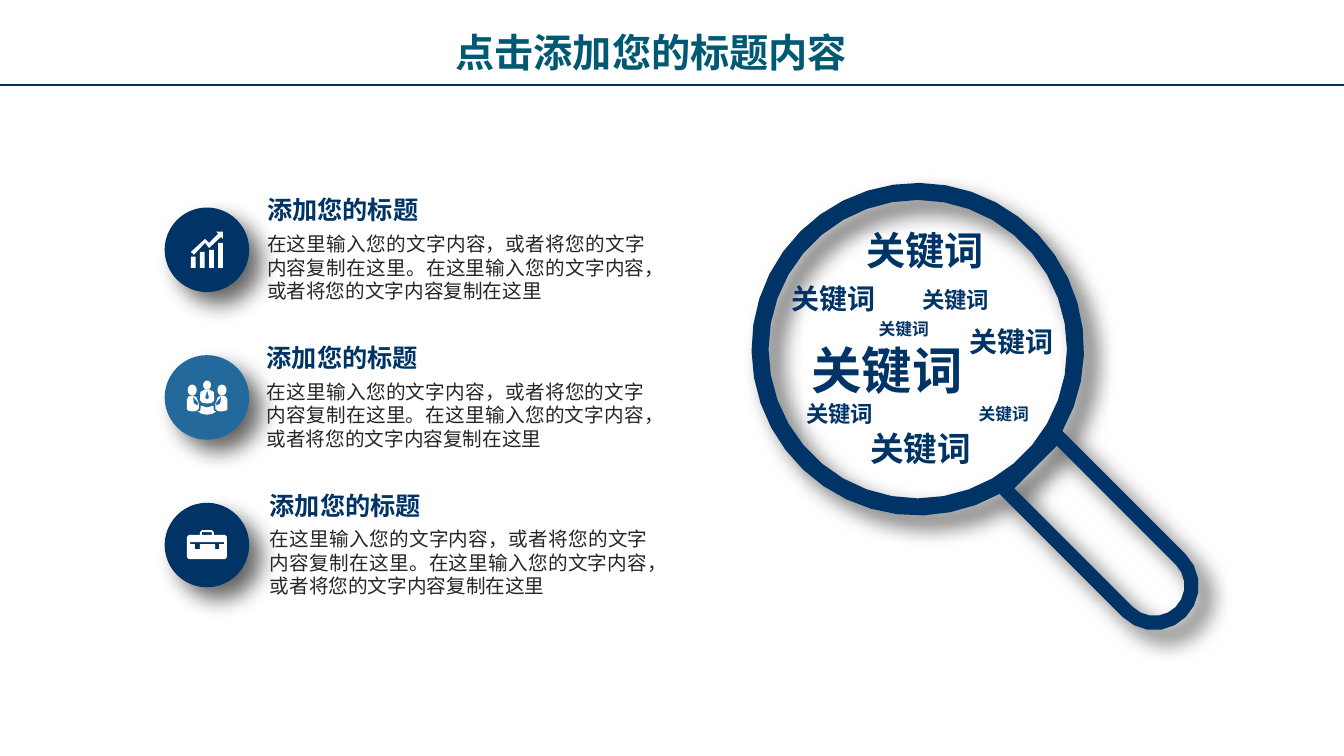
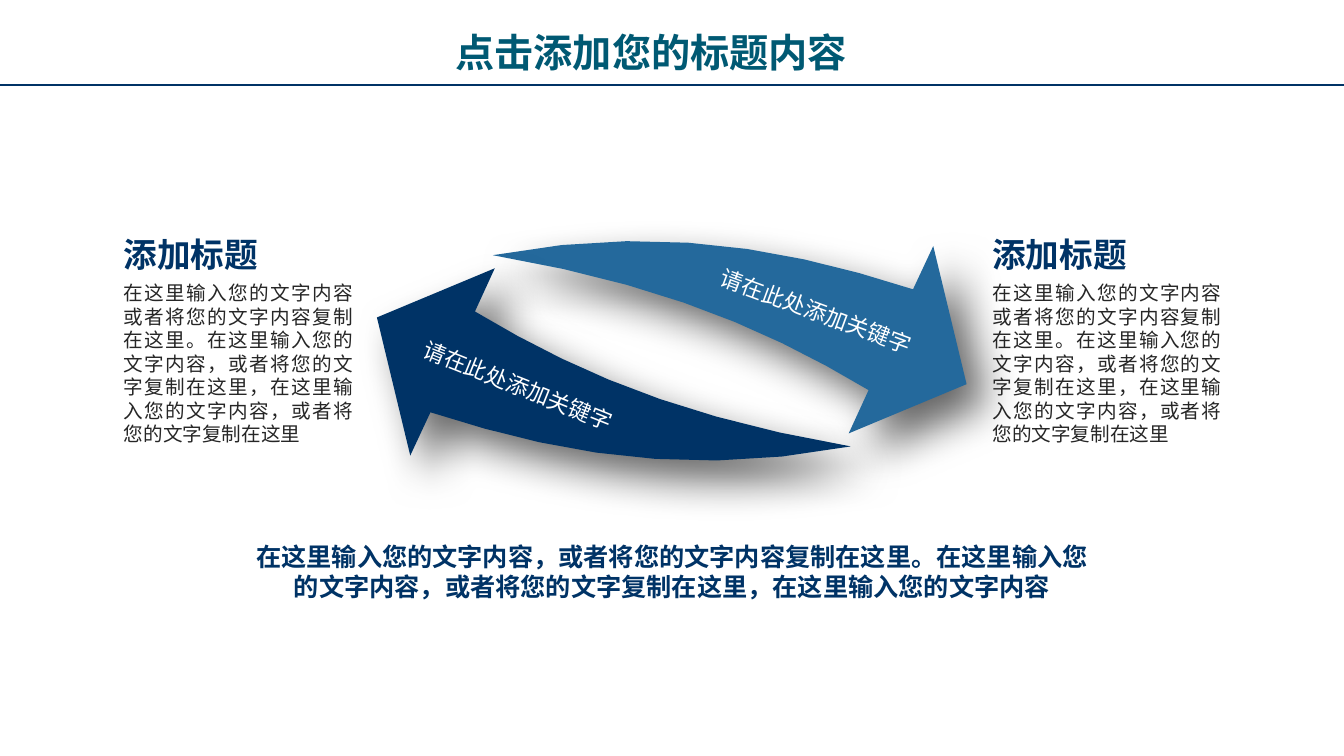
from math import asin, cos, degrees, radians, sin, sqrt

from lxml.etree import SubElement
from pptx import Presentation
from pptx.dml.color import RGBColor
from pptx.enum.shapes import MSO_CONNECTOR, MSO_SHAPE
from pptx.enum.text import MSO_AUTO_SIZE, PP_ALIGN
from pptx.oxml.ns import qn
from pptx.util import Cm, Pt

COLORS = {
    "navy": "003366",
    "blue": "24699C",
    "teal": "005973",
    "ink": "262626",
    "white": "FFFFFF",
    "black": "000000",
}
FONT = "Noto Sans CJK SC"
LINE_HEIGHT = 1.2
SLIDE_WIDTH, SLIDE_HEIGHT = 33.87, 19.05
SMALL_SHADOW = (16, 12)
LARGE_SHADOW = (30, 20)

TITLE = "点击添加您的标题内容"
ITEM_TITLE = "添加您的标题"
ITEM_BODY = (
    "在这里输入您的文字内容，或者将您的文字内容复制在这里。"
    "在这里输入您的文字内容，或者将您的文字内容复制在这里"
)
SIDE_TITLE = "添加标题"
SIDE_BODY = (
    "在这里输入您的文字内容或者将您的文字内容复制在这里。在这里输入您的文字内容，"
    "或者将您的文字复制在这里，在这里输入您的文字内容，或者将您的文字复制在这里"
)
SUMMARY = (
    "在这里输入您的文字内容，或者将您的文字内容复制在这里。在这里输入您的文字内容，"
    "或者将您的文字复制在这里，在这里输入您的文字内容"
)
KEYWORD = "关键词"
ARROW_LABEL = "请在此处添加关键字"

KEYWORD_BOXES = {36: (4.88, 1.8), 28: (3.99, 1.45), 24: (3.3, 1.27),
                 20: (2.82, 1.12), 16: (2.39, 0.94), 12: (2.24, 0.76)}
KEYWORDS = [
    (36, 19.91, 8.41), (28, 21.31, 5.59), (24, 21.55, 10.67),
    (20, 19.6, 6.96), (16, 22.89, 7.09), (12, 24.18, 10.06),
    (20, 24.08, 8.05), (16, 19.97, 9.96), (12, 21.66, 7.9),
]

TREND_ARROW = [
    (1.3, 0.61), (1.35, 0.66), (1.12, 0.89), (1.02, 0.79), (0.66, 1.12), (0.74, 1.19),
    (1.02, 0.89), (1.12, 1.02), (1.42, 0.74), (1.47, 0.79), (1.47, 0.61),
]
BARS = [
    [(x, top), (x + 0.12, top), (x + 0.12, 1.52), (x, 1.52)]
    for x, top in ((0.66, 1.24), (0.89, 1.12), (1.12, 1.07), (1.35, 0.89))
]
SIDE_PERSON = [
    [(0.71, 1.02), (0.8, 1.06), (0.86, 1.22), (0.86, 1.35), (0.8, 1.41),
     (0.7, 1.42), (0.6, 1.4), (0.56, 1.37), (0.56, 1.12), (0.6, 1.04)],
    [(0.71, 1.04), (0.84, 1.19), (0.84, 1.27), (0.74, 1.22)],
]
OTHER_SIDE_PERSON = [[(2.14 - x, y) for x, y in contour] for contour in SIDE_PERSON]
MIDDLE_PERSON = [
    [(1.02, 0.86), (0.9, 0.93), (0.89, 1.14), (0.95, 1.2), (1.07, 1.22),
     (1.19, 1.2), (1.25, 1.14), (1.24, 0.93), (1.12, 0.86)],
    [(1.07, 0.89), (1.12, 1.07), (1.07, 1.12), (1.02, 1.07)],
]
MEETING_TABLE = [
    (0.91, 1.27), (1.07, 1.32), (1.23, 1.27), (1.24, 1.4), (1.3, 1.42),
    (1.2, 1.48), (1.07, 1.5), (0.94, 1.48), (0.84, 1.42), (0.9, 1.4),
]
HEADS = [(0.58, 0.74, 0.23, 0.28), (0.97, 0.64, 0.2, 0.23), (1.33, 0.74, 0.23, 0.28)]
BRIEFCASE = [
    [(0.56, 0.86), (0.61, 0.81), (0.89, 0.81), (0.89, 0.74), (0.94, 0.69),
     (1.19, 0.69), (1.24, 0.74), (1.24, 0.81), (1.52, 0.81), (1.57, 0.86),
     (1.57, 1.37), (1.52, 1.42), (0.61, 1.42), (0.56, 1.37)],
    [(0.94, 0.74), (1.19, 0.74), (1.19, 0.81), (0.94, 0.81)],
    [(0.64, 0.99), (1.5, 0.99), (1.5, 1.04), (1.37, 1.04), (1.37, 1.17), (1.27, 1.17),
     (1.27, 1.04), (0.89, 1.04), (0.89, 1.17), (0.76, 1.17), (0.76, 1.04), (0.64, 1.04)],
]
CHART_ICON = ([[TREND_ARROW, *BARS]], [])
MEETING_ICON = ([SIDE_PERSON, OTHER_SIDE_PERSON, MIDDLE_PERSON, [MEETING_TABLE]], HEADS)
BRIEFCASE_ICON = ([BRIEFCASE], [])


def rgb(name):
    return RGBColor.from_string(COLORS[name])


def paint(shape, color, shadow=None):
    shape.fill.solid()
    shape.fill.fore_color.rgb = rgb(color)
    shape.line.fill.background()
    shape.shadow.inherit = False
    if shadow:
        blur, distance = shadow
        effects = shape._element.spPr.find(qn("a:effectLst"))
        outer = SubElement(effects, qn("a:outerShdw"), blurRad=str(Pt(blur)),
                           dist=str(Pt(distance)), dir="2700000", algn="tl", rotWithShape="0")
        tint = SubElement(outer, qn("a:srgbClr"), val=COLORS["black"])
        SubElement(tint, qn("a:alpha"), val="60000")


def add_oval(slide, box, color, shadow=None):
    paint(slide.shapes.add_shape(MSO_SHAPE.OVAL, *map(Cm, box)), color, shadow)


def add_outline(slide, contours, color, shadow=None):
    contours = [[(Cm(x), Cm(y)) for x, y in contour] for contour in contours]
    builder = slide.shapes.build_freeform(*contours[0][0], scale=1.0)
    for index, contour in enumerate(contours):
        if index:
            builder.move_to(*contour[0])
        builder.add_line_segments(contour[1:], close=True)
    paint(builder.convert_to_shape(), color, shadow)


def add_text(slide, text, box, size, color, bold=False, align=PP_ALIGN.LEFT,
             wrap=True, rotation=0):
    shape = slide.shapes.add_textbox(*map(Cm, box))
    shape.rotation = rotation
    frame = shape.text_frame
    frame.word_wrap = wrap
    frame.auto_size = MSO_AUTO_SIZE.SHAPE_TO_FIT_TEXT
    if not wrap:
        frame.margin_left = frame.margin_right = 0
    paragraph = frame.paragraphs[0]
    paragraph.text = text
    paragraph.alignment = align
    paragraph.line_spacing = Pt(size * LINE_HEIGHT)
    font = paragraph.font
    font.name, font.size, font.bold = FONT, Pt(size), bold
    font.color.rgb = rgb(color)
    SubElement(paragraph._p.pPr.find(qn("a:defRPr")), qn("a:ea"), typeface=FONT)


def arc(center_x, center_y, radius, start, end, steps):
    angles = [radians(start + (end - start) * step / steps) for step in range(steps + 1)]
    return [(center_x + radius * cos(angle), center_y + radius * sin(angle)) for angle in angles]


def curve(start, first, second, end, steps=7):
    points = []
    for step in range(steps + 1):
        t = step / steps
        weights = ((1 - t) ** 3, 3 * t * (1 - t) ** 2, 3 * t * t * (1 - t), t ** 3)
        points.append(tuple(sum(weight * point[axis] for weight, point
                                in zip(weights, (start, first, second, end)))
                            for axis in (0, 1)))
    return points


def add_title(slide):
    rule = slide.shapes.add_connector(
        MSO_CONNECTOR.STRAIGHT, 0, Cm(2.15), Cm(SLIDE_WIDTH), Cm(2.15))
    rule.line.color.rgb = rgb("navy")
    rule.line.width = Pt(1.5)
    SubElement(rule._element.spPr, qn("a:effectLst"))
    add_text(slide, TITLE, (11.23, 0.6, 11.43, 1.45), 28, "teal", bold=True)


def add_icon(slide, icon, left, top):
    outlines, ovals = icon
    for contours in outlines:
        moved = [[(left + x, top + y) for x, y in contour] for contour in contours]
        add_outline(slide, moved, "white")
    for x, y, width, height in ovals:
        add_oval(slide, (left + x, top + y, width, height), "white")


def add_item(slide, index, color, icon, text_left):
    left, top = 4.15, 5.23 + 3.72 * index
    add_oval(slide, (left, top, 2.13, 2.13), color, SMALL_SHADOW)
    add_text(slide, ITEM_BODY, (text_left, top + 0.49, 10.03, 2.06), 14, "ink",
             align=PP_ALIGN.JUSTIFY)
    add_text(slide, ITEM_TITLE, (text_left, top - 0.45, 6.2, 1.02), 18, "navy",
             bold=True, align=PP_ALIGN.JUSTIFY)
    add_icon(slide, icon, left, top)


def add_magnifier(slide):
    x, y, rim, lens = 23.13, 8.8, 4.19, 3.76
    half_width, slot_half_width = 1.12, 0.76
    end, slot_start = 5.96, 2.97
    spread = degrees(asin(half_width / rim))
    corner = slot_half_width / sqrt(2)
    body = (arc(x, y, rim, 45 + spread, 405 - spread, 36)
            + arc(x + end, y + end, half_width, -45, 135, 10))
    slot = (arc(x + end, y + end, slot_half_width, -45, 135, 10)
            + [(x + slot_start - corner, y + slot_start + corner),
               (x + slot_start + corner, y + slot_start - corner)])
    add_outline(slide, [body, slot, arc(x, y, lens, 0, 360, 36)], "navy", SMALL_SHADOW)


def add_curved_arrows(slide):
    tail = (12.42, 6.43)
    upper = (curve(tail, (16.59, 5.64), (19.86, 6.27), (23.01, 7.29))
             + [(23.52, 6.2), (24.36, 9.68), (21.39, 10.92)]
             + curve((21.89, 9.83), (19.43, 8.36), (16.84, 7.19), tail)[:-1])
    lower = [(33.86 - x, 17.68 - y) for x, y in upper]
    add_outline(slide, [upper], "blue", LARGE_SHADOW)
    add_text(slide, ARROW_LABEL, (17.97, 7.36, 5.13, 0.94), 16, "white",
             align=PP_ALIGN.RIGHT, wrap=False, rotation=20.2)
    add_outline(slide, [lower], "navy", LARGE_SHADOW)
    add_text(slide, ARROW_LABEL, (10.52, 9.26, 5.13, 0.94), 16, "white",
             wrap=False, rotation=21.8)


def build_keywords(slide):
    add_title(slide)
    add_magnifier(slide)
    add_item(slide, 2, "navy", BRIEFCASE_ICON, 6.55)
    add_item(slide, 0, "navy", CHART_ICON, 6.48)
    add_item(slide, 1, "blue", MEETING_ICON, 6.47)
    for size, left, top in KEYWORDS:
        add_text(slide, KEYWORD, (left, top, *KEYWORD_BOXES[size]), size, "navy",
                 bold=True, align=PP_ALIGN.CENTER)


def build_cycle(slide):
    add_title(slide)
    add_curved_arrows(slide)
    for left in (2.87, 24.76):
        add_text(slide, SIDE_TITLE, (left, 5.76, 6.28, 1.27), 24, "navy", bold=True)
        add_text(slide, SIDE_BODY, (left, 6.96, 6.28, 5.05), 14, "ink",
                 align=PP_ALIGN.JUSTIFY)
    add_text(slide, SUMMARY, (6.09, 13.51, 21.69, 1.8), 18, "navy",
             bold=True, align=PP_ALIGN.CENTER)


def main():
    presentation = Presentation()
    presentation.slide_width = Cm(SLIDE_WIDTH)
    presentation.slide_height = Cm(SLIDE_HEIGHT)
    for build in (build_keywords, build_cycle):
        build(presentation.slides.add_slide(presentation.slide_layouts[6]))
    presentation.save("out.pptx")


if __name__ == "__main__":
    main()
